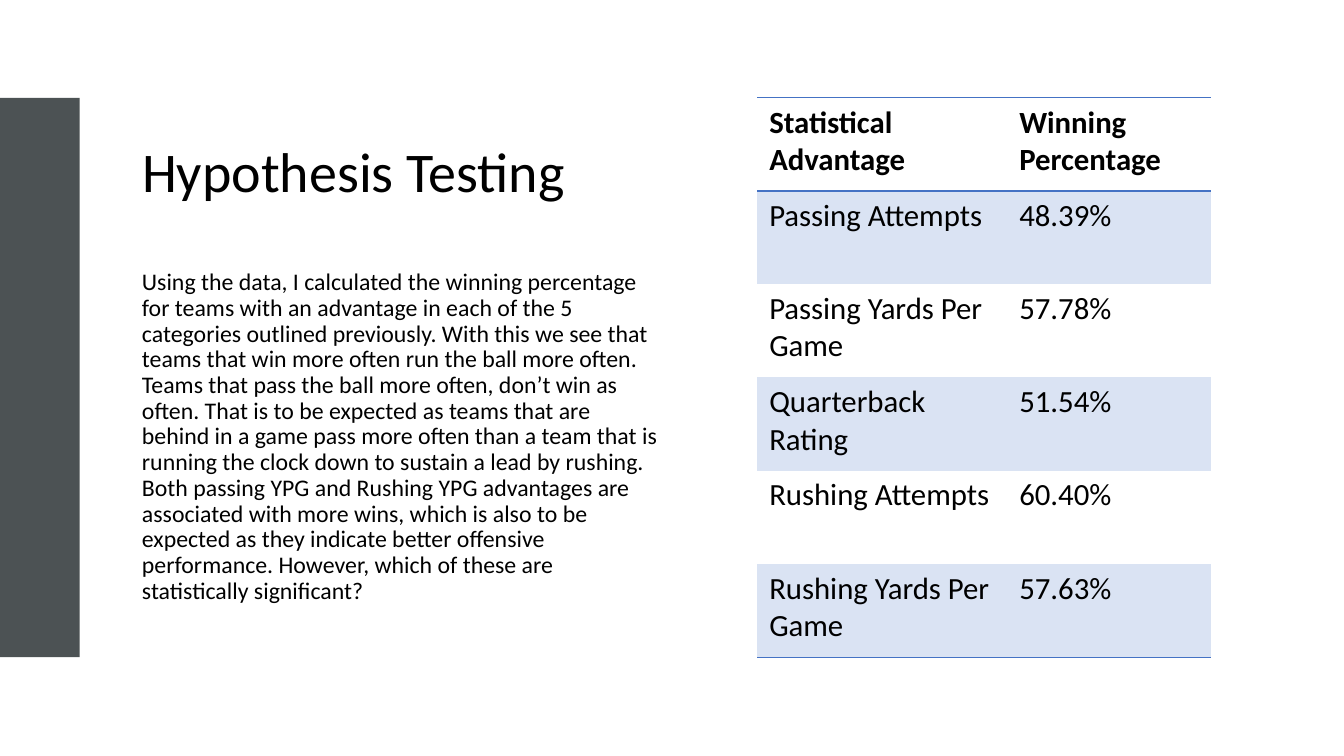
from lxml import etree
from pptx import Presentation
from pptx.dml.color import RGBColor
from pptx.enum.shapes import MSO_SHAPE as Shape
from pptx.enum.text import MSO_ANCHOR as Anchor, PP_ALIGN as Align
from pptx.oxml import parse_xml
from pptx.oxml.ns import nsdecls, qn
from pptx.util import Inches, Pt

COLORS = {"text": "000000", "bar": "4C5254", "band": "DAE3F3", "rule": "4472C4"}
FONT = "Calibri"
NO_STYLE = "{2D5ABB26-0587-4C30-8999-92F81FD0307C}"


def add_text(paragraph, text, size, bold=False):
    run = paragraph.add_run()
    run.text = text
    run.font.name = FONT
    run.font.size = Pt(size)
    run.font.bold = bold
    run.font.color.rgb = RGBColor.from_string(COLORS["text"])
    paragraph.alignment = Align.LEFT


def add_border(cell, side):
    line = parse_xml(
        f'<a:{side} {nsdecls("a")} w="{Pt(1)}"><a:solidFill>'
        f'<a:srgbClr val="{COLORS["rule"]}"/></a:solidFill></a:{side}>')
    cell._tc.get_or_add_tcPr().insert(0, line)


presentation = Presentation()
presentation.slide_width = Inches(13.33)
presentation.slide_height = Inches(7.5)
slide = presentation.slides.add_slide(presentation.slide_layouts[5])

# Title
title = slide.shapes.title
title.left, title.top = Inches(1.31), Inches(0.99)
title.width, title.height = Inches(5.36), Inches(1.47)
title.text_frame.vertical_anchor = Anchor.MIDDLE
title.text_frame.paragraphs[0].line_spacing = 0.9
add_text(title.text_frame.paragraphs[0], "Hypothesis Testing", 40)

# Bar at the left edge
bar = slide.shapes.add_shape(Shape.RECTANGLE, 0, Inches(0.97), Inches(0.79), Inches(5.55))
bar.shadow.inherit = False
bar.fill.solid()
bar.fill.fore_color.rgb = RGBColor.from_string(COLORS["bar"])
bar.line.fill.background()

# Findings
findings = slide.shapes.add_textbox(Inches(1.31), Inches(2.63), Inches(5.34), Inches(3.98))
findings.text_frame.word_wrap = True
paragraph = findings.text_frame.paragraphs[0]
paragraph.line_spacing = 0.9
paragraph.space_before = Pt(10)
add_text(
    paragraph,
    "Using the data, I calculated the winning percentage for teams with an advantage "
    "in each of the 5 categories outlined previously. With this we see that teams that "
    "win more often run the ball more often. Teams that pass the ball more often, don’t "
    "win as often. That is to be expected as teams that are behind in a game pass more "
    "often than a team that is running the clock down to sustain a lead by rushing. Both "
    "passing YPG and Rushing YPG advantages are associated with more wins, which is also "
    "to be expected as they indicate better offensive performance. However, which of "
    "these are statistically significant?",
    17)

# Winning percentage table
rows = [
    ("Statistical Advantage", "Winning Percentage"),
    ("Passing Attempts", "48.39%"),
    ("Passing Yards Per Game", "57.78%"),
    ("Quarterback Rating", "51.54%"),
    ("Rushing Attempts", "60.40%"),
    ("Rushing Yards Per Game", "57.63%"),
]
table = slide.shapes.add_table(
    len(rows), 2, Inches(7.51), Inches(0.97), Inches(4.5), Inches(5.55)).table
table.horz_banding = False
properties = table._tbl.tblPr
style = properties.find(qn("a:tableStyleId"))
if style is None:
    style = etree.SubElement(properties, qn("a:tableStyleId"))
style.text = NO_STYLE
table.columns[0].width = Inches(2.48)
table.columns[1].width = Inches(2.02)

for row_index, values in enumerate(rows):
    is_header = row_index == 0
    for column_index, value in enumerate(values):
        cell = table.cell(row_index, column_index)
        cell.margin_left = cell.margin_right = Inches(0.12)
        cell.margin_top = cell.margin_bottom = Inches(0.06)
        add_text(cell.text_frame.paragraphs[0], value, 22, is_header)
        if row_index % 2:
            cell.fill.solid()
            cell.fill.fore_color.rgb = RGBColor.from_string(COLORS["band"])
        else:
            cell.fill.background()
        if is_header or row_index == len(rows) - 1:
            add_border(cell, "lnB")
        if is_header:
            add_border(cell, "lnT")

presentation.save("out.pptx")
